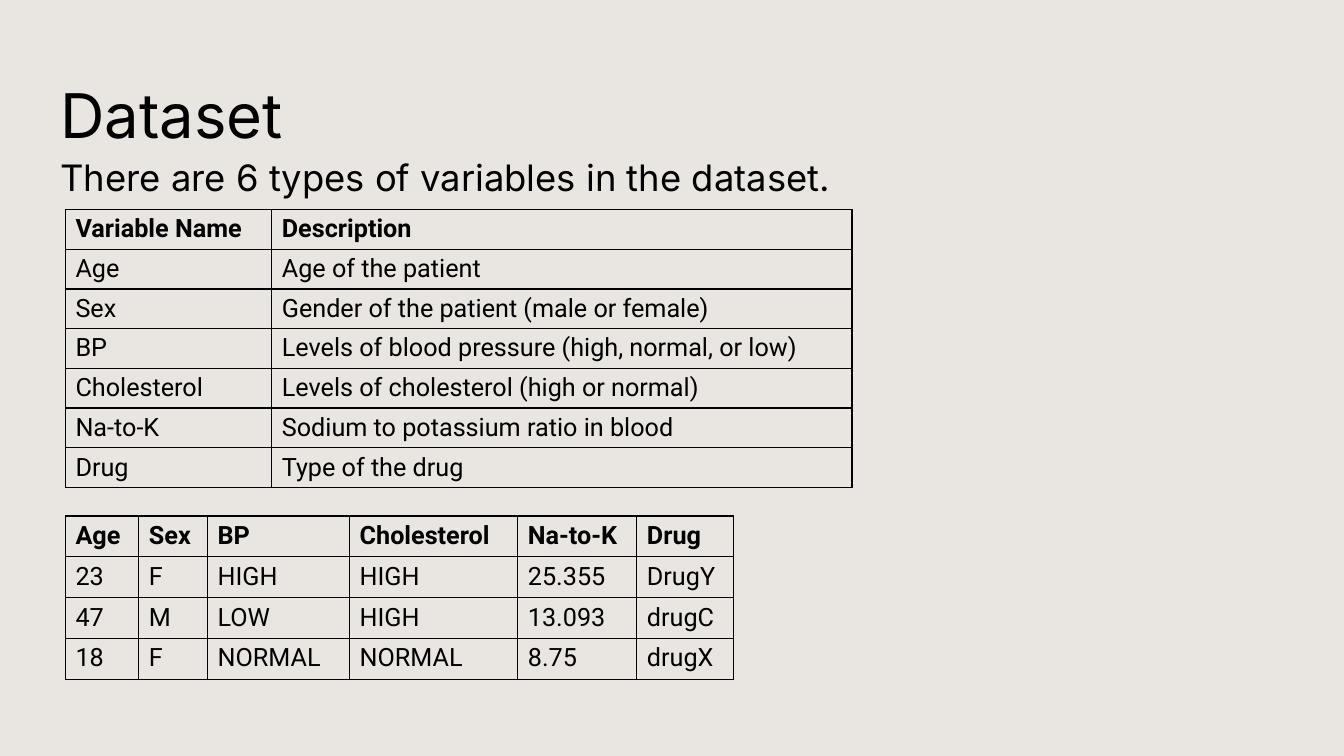
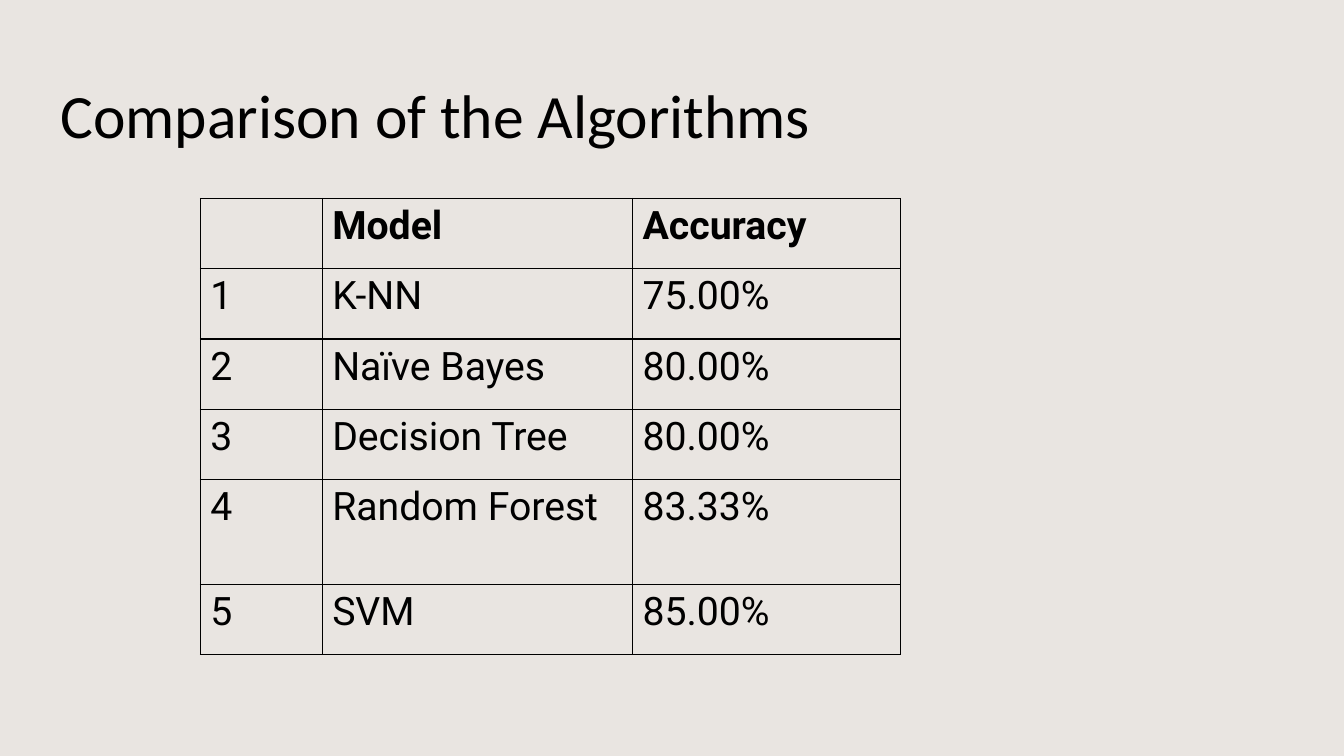
from lxml.etree import SubElement
from pptx import Presentation
from pptx.dml.color import RGBColor
from pptx.enum.text import MSO_ANCHOR, MSO_AUTO_SIZE, PP_ALIGN
from pptx.oxml import parse_xml
from pptx.oxml.ns import nsdecls, qn
from pptx.util import Cm, Pt

BLACK = RGBColor(0x00, 0x00, 0x00)
SAND = RGBColor(0xE9, 0xE5, 0xE1)

TITLE_ONLY, TITLE_AND_BODY = 5, 1
TITLE_BOX = (1.27, 1.02, 30.28, 3.68)
BODY_BOX = (1.27, 3.78, 31.32, 13.31)
TABLE_FONT = "Roboto"

VARIABLES = [
    ("Variable Name", "Description"),
    ("Age", "Age of the patient"),
    ("Sex", "Gender of the patient (male or female)"),
    ("BP", "Levels of blood pressure (high, normal, or low)"),
    ("Cholesterol", "Levels of cholesterol (high or normal)"),
    ("Na-to-K", "Sodium to potassium ratio in blood"),
    ("Drug", "Type of the drug"),
]
PATIENTS = [
    ("Age", "Sex", "BP", "Cholesterol", "Na-to-K", "Drug"),
    ("23", "F", "HIGH", "HIGH", "25.355", "DrugY"),
    ("47", "M", "LOW", "HIGH", "13.093", "drugC"),
    ("18", "F", "NORMAL", "NORMAL", "8.75", "drugX"),
]
ACCURACIES = [
    ("", "Model", "Accuracy"),
    ("1", "K-NN", "75.00%"),
    ("2", "Naïve Bayes", "80.00%"),
    ("3", "Decision Tree", "80.00%"),
    ("4", "Random Forest", "83.33%"),
    ("5", "SVM", "85.00%"),
]


def set_attributes(target, values):
    for name, value in values.items():
        setattr(target, name, value)


def format_font(font, name, size, bold=False):
    set_attributes(font, {"name": name, "size": Pt(size), "bold": bold})
    font.color.rgb = BLACK


def fill_placeholder(shape, text, box, font_name, size, anchor):
    set_attributes(shape, dict(zip(("left", "top", "width", "height"), map(Cm, box))))
    frame = shape.text_frame
    frame.text = text
    set_attributes(frame, {
        "word_wrap": True,
        "auto_size": MSO_AUTO_SIZE.NONE,
        "vertical_anchor": anchor,
    })
    paragraph = frame.paragraphs[0]
    set_attributes(paragraph, {"alignment": PP_ALIGN.LEFT, "space_before": Pt(0)})
    format_font(paragraph.runs[0].font, font_name, size)
    return paragraph


def add_titled_slide(presentation, layout, title, font_name):
    slide = presentation.slides.add_slide(presentation.slide_layouts[layout])
    fill_placeholder(slide.shapes.title, title, TITLE_BOX, font_name, 44, MSO_ANCHOR.MIDDLE)
    return slide


def add_body(slide, text, font_name):
    paragraph = fill_placeholder(
        slide.placeholders[1], text, BODY_BOX, font_name, 26, MSO_ANCHOR.TOP)
    properties = paragraph._p.get_or_add_pPr()
    properties.set("marL", "0")
    properties.set("indent", "0")
    SubElement(properties, qn("a:buNone"))


def add_borders(cell):
    properties = cell._tc.get_or_add_tcPr()
    for index, side in enumerate("LRTB"):
        properties.insert(index, parse_xml(
            f'<a:ln{side} {nsdecls("a")} w="{Pt(1)}"><a:solidFill>'
            f'<a:srgbClr val="{BLACK}"/></a:solidFill></a:ln{side}>'))


def add_grid(slide, rows, left, top, widths, heights, size):
    table = slide.shapes.add_table(
        len(rows), len(widths), Cm(left), Cm(top), Cm(sum(widths)), Cm(sum(heights))).table
    set_attributes(table, {"first_row": False, "horz_banding": False})
    for column, width in zip(table.columns, widths):
        column.width = Cm(width)
    for row_index, (row, height, texts) in enumerate(zip(table.rows, heights, rows)):
        row.height = Cm(height)
        for cell, text in zip(row.cells, texts):
            cell.text = text
            cell.fill.background()
            add_borders(cell)
            format_font(cell.text_frame.paragraphs[0].font, TABLE_FONT, size)
            for run in cell.text_frame.paragraphs[0].runs:
                format_font(run.font, TABLE_FONT, size, row_index == 0)


def add_dataset_slide(presentation):
    slide = add_titled_slide(presentation, TITLE_AND_BODY, "Dataset", "Inter")
    add_body(slide, "There are 6 types of variables in the dataset.", "Inter")
    add_grid(slide, VARIABLES, 1.65, 5.28, [5.2, 14.62], [1] * len(VARIABLES), 18)
    add_grid(slide, PATIENTS, 1.65, 13, [1.85, 1.73, 3.58, 4.24, 3, 2.44],
             [1.03] * len(PATIENTS), 18)


def add_comparison_slide(presentation):
    slide = add_titled_slide(
        presentation, TITLE_ONLY, "Comparison of the Algorithms", "Calibri")
    add_grid(slide, ACCURACIES, 5.05, 5, [3.07, 7.82, 6.76],
             [1.77] * 4 + [2.64, 1.77], 28)


def main():
    presentation = Presentation()
    set_attributes(presentation, {"slide_width": Cm(33.87), "slide_height": Cm(19.05)})
    background = presentation.slide_master.background.fill
    background.solid()
    background.fore_color.rgb = SAND
    add_dataset_slide(presentation)
    add_comparison_slide(presentation)
    presentation.save("out.pptx")


if __name__ == "__main__":
    main()
